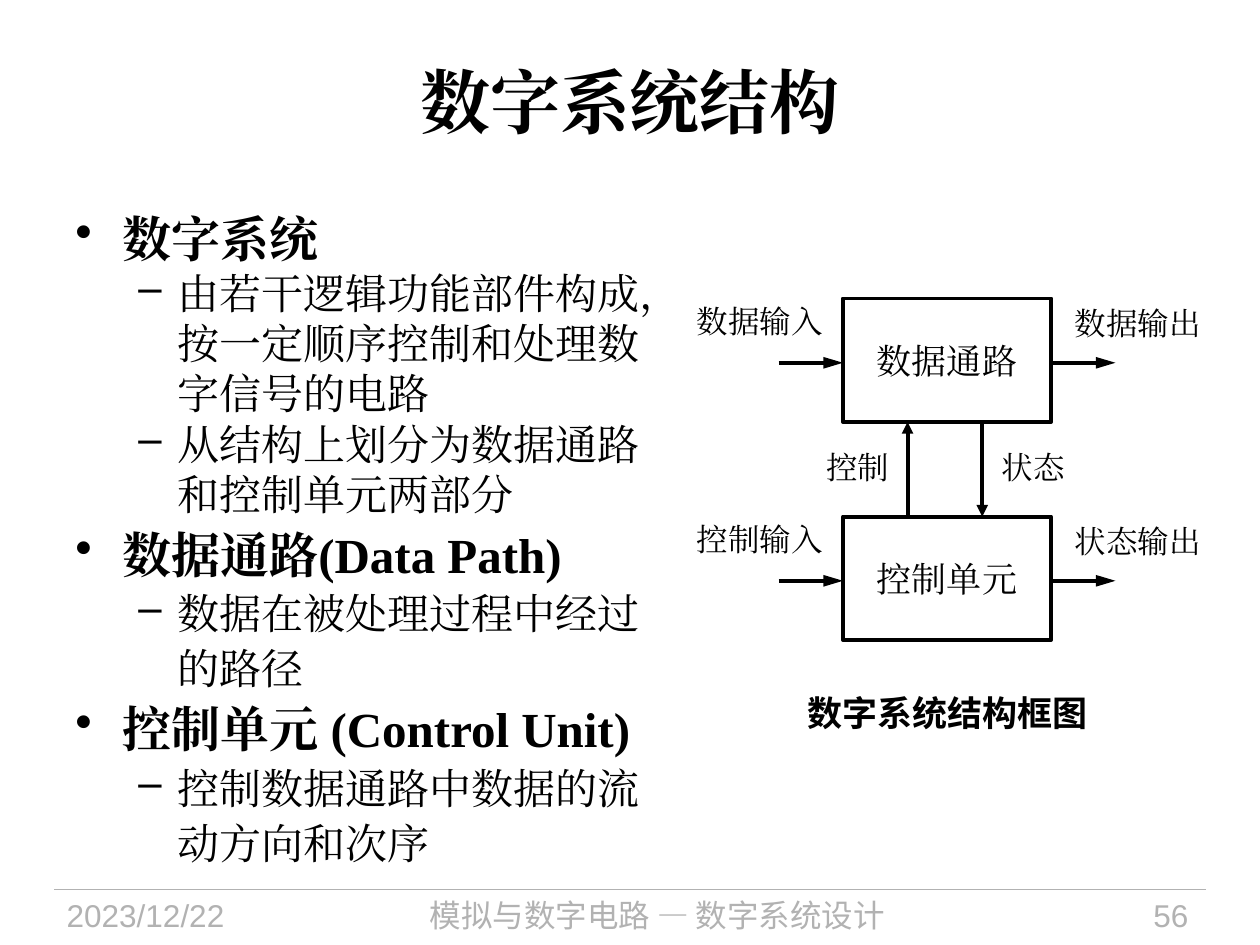
from dataclasses import dataclass

from lxml.etree import SubElement
from pptx import Presentation
from pptx.dml.color import RGBColor
from pptx.enum.shapes import MSO_CONNECTOR, MSO_SHAPE
from pptx.enum.text import MSO_ANCHOR, PP_ALIGN
from pptx.oxml.ns import qn
from pptx.util import Pt


@dataclass(frozen=True)
class Theme:
    ink: RGBColor = RGBColor(0, 0, 0)
    muted: RGBColor = RGBColor(0xB2, 0xB2, 0xB2)
    serif: str = "Times New Roman"
    sans: str = "Arial"
    chinese: str = "Noto Sans CJK SC"
    title: int = 40
    heading: int = 28
    detail: int = 24
    block: int = 20
    label: int = 18
    stroke: float = 2.25
    hairline: float = 0.75


class SlideBuilder:
    def __init__(self, slide, theme):
        self.slide = slide
        self.theme = theme

    def styled_run(self, paragraph, text, size, font=None, color=None, bold=False,
                   align=PP_ALIGN.LEFT):
        run = paragraph.add_run()
        run.text = text
        paragraph.alignment = align
        font = font or self.theme.serif
        values = {"size": Pt(size), "name": font, "bold": bold}
        for name, value in values.items():
            setattr(run.font, name, value)
        run.font.color.rgb = color or self.theme.ink
        east_asian = SubElement(run._r.get_or_add_rPr(), qn("a:ea"))
        east_asian.set("typeface", font)

    def text_frame(self, left, top, width, height, **values):
        frame = self.slide.shapes.add_textbox(
            Pt(left), Pt(top), Pt(width), Pt(height)).text_frame
        for name, value in ({"word_wrap": True} | values).items():
            setattr(frame, name, value)
        return frame

    def text(self, box, text, size, wrap=False, anchor=MSO_ANCHOR.TOP, **style):
        frame = self.text_frame(*box, word_wrap=wrap, vertical_anchor=anchor)
        self.styled_run(frame.paragraphs[0], text, size, **style)

    def outline(self, box, items):
        frame = self.text_frame(*box, margin_top=Pt(5))
        levels = (
            {"bullet": "•", "margin": 27, "indent": -27, "size": self.theme.heading},
            {"bullet": "–", "margin": 58.5, "indent": -22.5, "size": self.theme.detail},
        )
        for index, (level, spacing, text) in enumerate(items):
            paragraph = frame.paragraphs[0] if index == 0 else frame.add_paragraph()
            style = levels[level]
            properties = paragraph._p.get_or_add_pPr()
            properties.set("marL", str(Pt(style["margin"])))
            properties.set("indent", str(Pt(style["indent"])))
            SubElement(properties, qn("a:buChar")).set("char", style["bullet"])
            paragraph.level = level
            paragraph.line_spacing = Pt(round(style["size"] * 1.195 * spacing, 1))
            self.styled_run(paragraph, text, style["size"], bold=level == 0)

    def block(self, left, top, width, height, text):
        shape = self.slide.shapes.add_shape(
            MSO_SHAPE.RECTANGLE, Pt(left), Pt(top), Pt(width), Pt(height))
        shape.shadow.inherit = False
        shape.fill.background()
        shape.line.color.rgb = self.theme.ink
        shape.line.width = Pt(self.theme.stroke)
        values = {"margin_left": 0, "margin_right": 0, "margin_top": 0,
                  "margin_bottom": 0, "word_wrap": False,
                  "vertical_anchor": MSO_ANCHOR.MIDDLE}
        for name, value in values.items():
            setattr(shape.text_frame, name, value)
        self.styled_run(shape.text_frame.paragraphs[0], text, self.theme.block,
                        align=PP_ALIGN.CENTER)

    def line(self, start, end, color, width):
        connector = self.slide.shapes.add_connector(
            MSO_CONNECTOR.STRAIGHT, *map(Pt, start), *map(Pt, end))
        connector.line.color.rgb = color
        connector.line.width = Pt(width)
        SubElement(connector._element.spPr, qn("a:effectLst"))
        return connector

    def arrow(self, start, end, length="med"):
        connector = self.line(start, end, self.theme.ink, self.theme.stroke)
        outline = connector._element.spPr.find(qn("a:ln"))
        tail = SubElement(outline, qn("a:tailEnd"))
        for name, value in {"type": "triangle", "w": "med", "len": length}.items():
            tail.set(name, value)


def draw_footer(builder):
    theme = builder.theme
    top = 508.3
    builder.line((31, top), (689, top), theme.muted, theme.hairline)
    for left, width, text, font, align in (
        (31, 135.4, "2023/12/22", theme.sans, PP_ALIGN.LEFT),
        (172.8, 405.4, "模拟与数字电路 — 数字系统设计", theme.chinese, PP_ALIGN.CENTER),
        (590.4, 95.8, "56", theme.sans, PP_ALIGN.RIGHT),
    ):
        builder.text((left, top, width, 31.7), text, theme.label, wrap=True,
                     font=font, color=theme.muted, align=align)


def draw_diagram(builder):
    theme = builder.theme
    left, width, height, reach = 481.7, 119, 70.5, 36.7
    right = left + width
    data_top, control_top = 170.6, 295.2
    for top, name, source, result in (
        (data_top, "数据通路", "数据输入", "数据输出"),
        (control_top, "控制单元", "控制输入", "状态输出"),
    ):
        builder.block(left, top, width, height, name)
        middle = top + 36.7
        builder.arrow((left - reach, middle), (left, middle), "lg")
        builder.arrow((right, middle), (right + reach, middle), "lg")
        builder.text((391, top - 1.4, 86.4, 28.8), source, theme.label)
        builder.text((607, top - 0.2, 86.4, 28.8), result, theme.label)
    data_bottom = data_top + height
    builder.arrow((518.6, control_top), (518.6, data_bottom))
    builder.arrow((561.3, data_bottom), (561.3, control_top))
    for label_left, text in ((465.1, "控制"), (565.4, "状态")):
        builder.text((label_left, 252.4, 50.4, 28.8), text, theme.label)
    builder.text((453.6, 391.7, 175.7, 31), "数字系统结构框图", theme.block,
                 font=theme.sans, bold=True, align=PP_ALIGN.CENTER)


def main():
    presentation = Presentation()
    presentation.slide_width, presentation.slide_height = Pt(720), Pt(540)
    slide = presentation.slides.add_slide(presentation.slide_layouts[6])
    builder = SlideBuilder(slide, Theme())
    draw_footer(builder)
    builder.text((36, 12.2, 648, 90), "数字系统结构", builder.theme.title,
                 wrap=True, anchor=MSO_ANCHOR.MIDDLE, bold=True,
                 align=PP_ALIGN.CENTER)
    builder.outline((36, 114.5, 344.2, 388), (
        (0, 1, "数字系统"),
        (1, 1, "由若干逻辑功能部件构成，按一定顺序控制和处理数字信号的电路"),
        (1, 1, "从结构上划分为数据通路和控制单元两部分"),
        (0, 1.1, "数据通路(Data Path)"),
        (1, 1.1, "数据在被处理过程中经过的路径"),
        (0, 1.1, "控制单元 (Control Unit)"),
        (1, 1.1, "控制数据通路中数据的流动方向和次序"),
    ))
    draw_diagram(builder)
    presentation.save("out.pptx")


if __name__ == "__main__":
    main()
